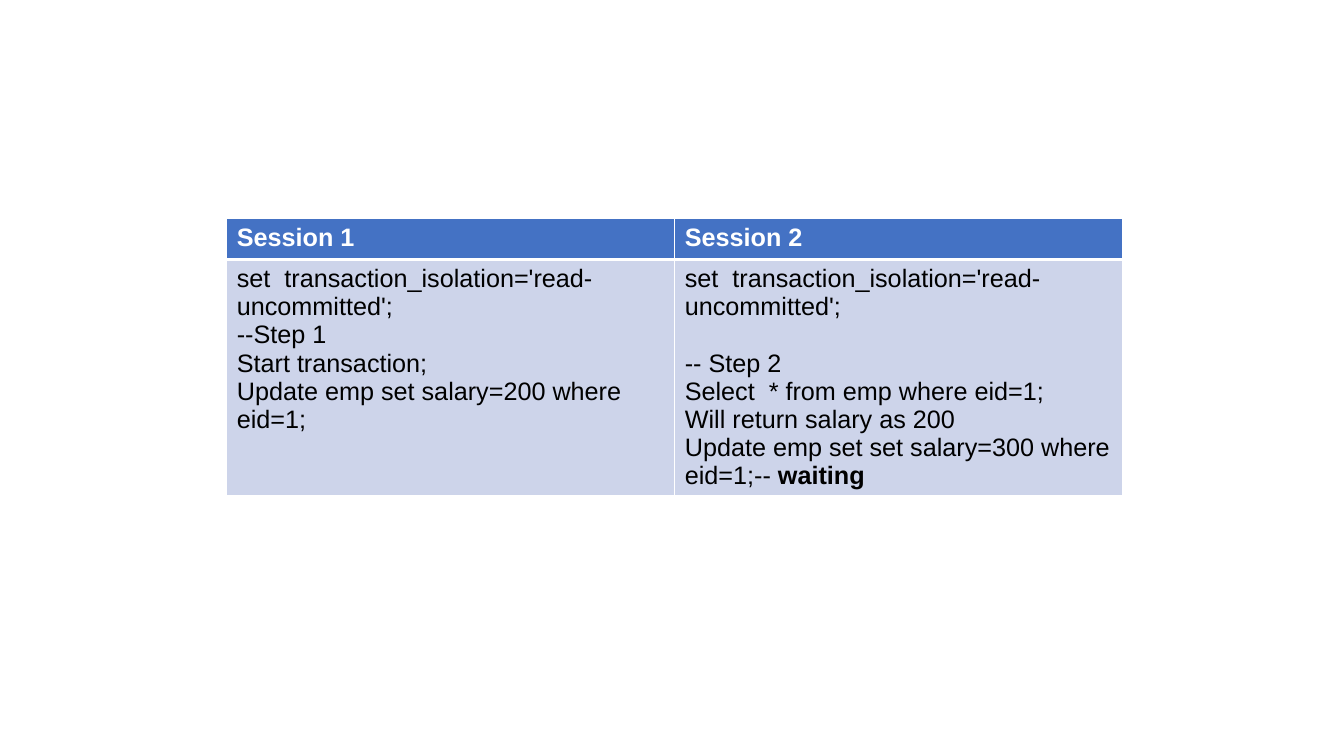
from lxml.etree import SubElement
from pptx import Presentation
from pptx.dml.color import RGBColor
from pptx.enum.text import MSO_ANCHOR
from pptx.oxml.ns import qn
from pptx.util import Pt

WHITE = "FFFFFF"
LINE_HEIGHT = 20.1
HEADER_HEIGHT = 29.2
HEADER = {"fill": "4472C4", "color": WHITE, "bold": True,
          "borders": {"lnL": 1, "lnR": 1, "lnT": 1, "lnB": 3}}
BODY = {"fill": "CDD4EA", "color": "000000", "bold": False,
        "borders": {"lnL": 1, "lnR": 1, "lnT": 3, "lnB": 1}}

ISOLATION = "set  transaction_isolation='read-uncommitted';"
SESSIONS = [
    ("Session 1", [
        (ISOLATION, "", 0),
        ("--Step 1", "", 0),
        ("Start transaction;", "", 0),
        ("Update emp set salary=200 where eid=1;", "", 0),
    ]),
    ("Session 2", [
        (ISOLATION, "", 0),
        ("-- Step 2", "", LINE_HEIGHT),
        ("Select  * from emp where eid=1;", "", 0),
        ("Will return salary as 200", "", 0),
        ("Update emp set set salary=300 where eid=1;--", " waiting", 0),
    ]),
]


def rgb(value):
    return RGBColor.from_string(value)


def set_attributes(target, values):
    for name, value in values.items():
        setattr(target, name, value)


def add_run(paragraph, text, color, bold):
    run = paragraph.add_run()
    run.text = text
    set_attributes(run.font, {"name": "Arial", "size": Pt(18), "bold": bold})
    run.font.color.rgb = rgb(color)


def draw_borders(cell, widths):
    properties = cell._tc.get_or_add_tcPr()
    for side, width in widths.items():
        line = SubElement(properties, qn(f"a:{side}"), w=str(Pt(width)))
        fill = SubElement(line, qn("a:solidFill"))
        SubElement(fill, qn("a:srgbClr"), val=WHITE)


def fill_cell(cell, lines, style):
    set_attributes(cell, {
        "margin_left": Pt(7.2), "margin_right": Pt(7.2),
        "margin_top": Pt(3.6), "margin_bottom": Pt(3.6),
        "vertical_anchor": MSO_ANCHOR.TOP,
    })
    draw_borders(cell, style["borders"])
    cell.fill.solid()
    cell.fill.fore_color.rgb = rgb(style["fill"])
    frame = cell.text_frame
    for index, (text, emphasis, space_before) in enumerate(lines):
        paragraph = frame.add_paragraph() if index else frame.paragraphs[0]
        paragraph.space_before = Pt(space_before)
        add_run(paragraph, text, style["color"], style["bold"])
        if emphasis:
            add_run(paragraph, emphasis, style["color"], True)


def add_session_table(slide, left, top, width, height):
    shape = slide.shapes.add_table(2, len(SESSIONS), Pt(left), Pt(top), Pt(width), Pt(height))
    table = shape.table
    table.rows[0].height = Pt(HEADER_HEIGHT)
    table.rows[1].height = Pt(height - HEADER_HEIGHT)
    for column, (heading, statements) in enumerate(SESSIONS):
        table.columns[column].width = Pt(width / len(SESSIONS))
        fill_cell(table.cell(0, column), [(heading, "", 0)], HEADER)
        fill_cell(table.cell(1, column), statements, BODY)


def main():
    presentation = Presentation()
    set_attributes(presentation, {"slide_width": Pt(960), "slide_height": Pt(540)})
    slide = presentation.slides.add_slide(presentation.slide_layouts[6])
    add_session_table(slide, 162, 156.24, 640, 197.6)
    presentation.save("out.pptx")


if __name__ == "__main__":
    main()
